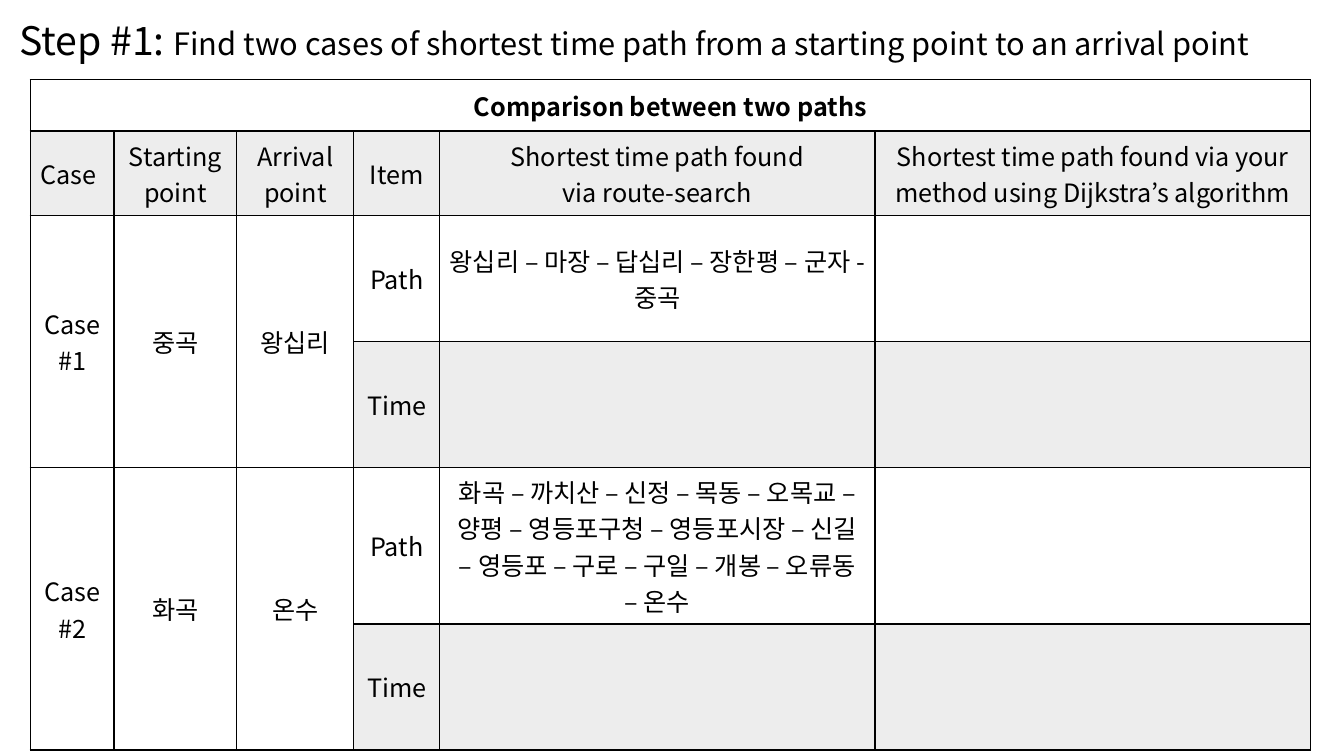
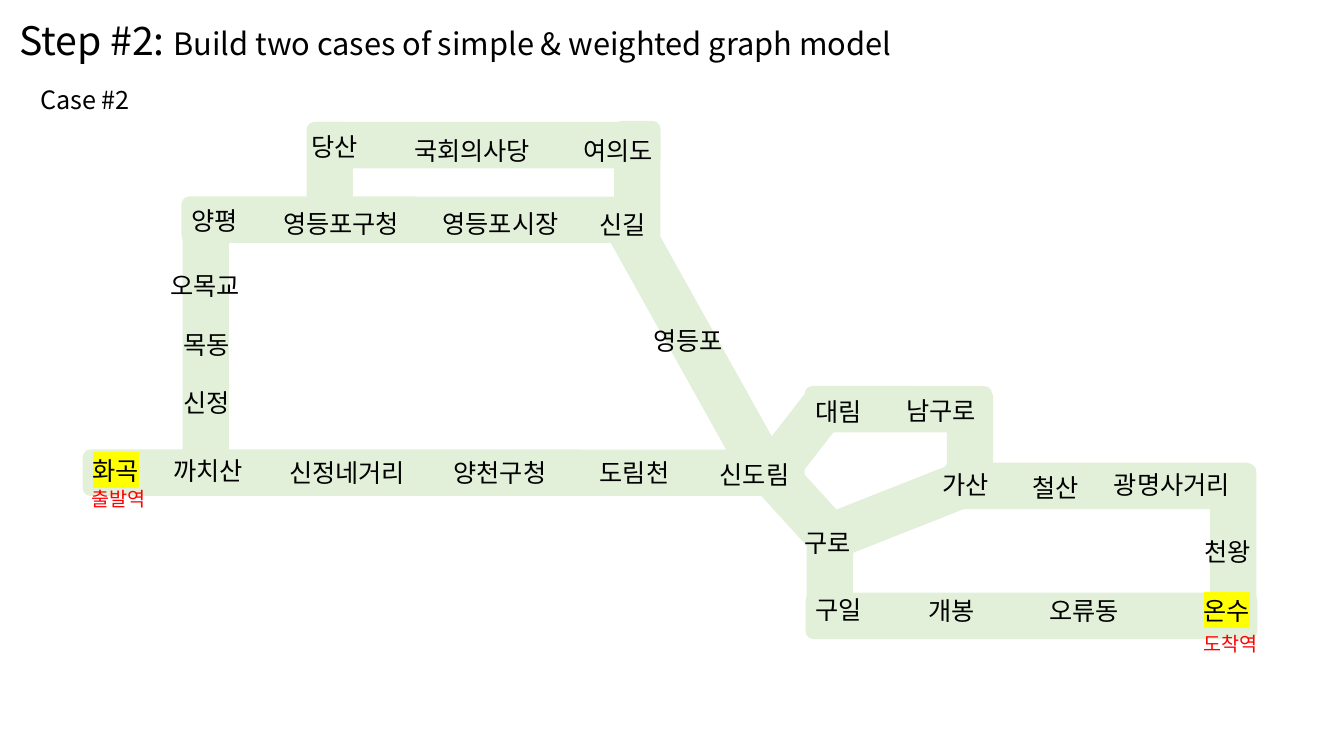
"""Build two slides: a shortest-path comparison table and a subway graph."""
import math
from collections import namedtuple

from lxml import etree
from pptx import Presentation
from pptx import util as u
from pptx.dml.color import RGBColor
from pptx.enum import shapes, text
from pptx.oxml.ns import qn

Box = namedtuple("Box", "x y w h")

FONT = "Noto Sans CJK KR"
BLACK = RGBColor(0x00, 0x00, 0x00)
RED = RGBColor(0xFF, 0x00, 0x00)
SHADE = RGBColor(0xED, 0xED, 0xED)
TRACK = RGBColor(0xE2, 0xF0, 0xD9)
MARKER = "FFFF00"

SLIDE = Box(0, 0, 13.33, 7.5)
TITLE = Box(0.09, 0.04, 12.93, 0.76)
TABLE = Box(0.3, 0.79, 12.7, 6.65)
CASE = Box(0.3, 0.63, 1.24, 0.76)
MAP = Box(0.8, 1.2, 11.7, 5.2)

COLUMN_WIDTHS = (0.83, 1.22, 1.16, 0.85, 4.32, 4.32)
ROW_HEIGHTS = (0.51, 0.84, 1.25, 1.25, 1.55, 1.25)
HEADINGS = (
    "Case", "Starting point", "Arrival point", "Item",
    "Shortest time path found\nvia route-search",
    "Shortest time path found via your method using Dijkstra’s algorithm",
)
CASES = (
    ("Case #1", "중곡", "왕십리", "왕십리 – 마장 – 답십리 – 장한평 – 군자 - 중곡"),
    ("Case #2", "화곡", "온수",
     "화곡 – 까치산 – 신정 – 목동 – 오목교 – 양평 – 영등포구청 – 영등포시장 – 신길"
     " – 영등포 – 구로 – 구일 – 개봉 – 오류동 – 온수"),
)

MAP_COLUMNS, MAP_ROWS = 117, 52
TRACK_ROWS = 4.6
TRACKS = (
    (24.7, 0.1, 24.7, 9.3), (54.2, 10.3, 67.7, 34.5),
    (55.2, 0, 55.2, 12), (12.4, 7.8, 12.4, 35.6),
    (22.6, 2.4, 57.5, 2.4), (10, 9.8, 57.4, 9.8),
    (90.2, 35, 74, 41.4), (74.3, 40.1, 74.3, 51.3),
    (68.6, 35, 74.8, 41.8), (74, 28, 68.4, 35.2),
    (88.2, 26.6, 88.2, 38.2), (71.8, 28.6, 90.4, 28.6),
    (114.3, 34, 114.3, 51.4), (85.6, 36.2, 116.4, 36.2),
    (71.9, 49.1, 116.7, 49.1), (0.2, 34.9, 71.8, 34.9),
)
STATIONS = (
    ("화곡", 0.2, 34.9), ("온수", 110.4, 48.8), ("까치산", 8.2, 34.9),
    ("신정네거리", 19.7, 35.1), ("양천구청", 36, 35.1), ("도림천", 50.5, 35.1),
    ("신도림", 62.4, 35.3), ("대림", 71.9, 29), ("남구로", 80.9, 28.9),
    ("구로", 70.8, 42), ("구일", 71.9, 48.7), ("개봉", 83.1, 48.8),
    ("오류동", 95.1, 48.8), ("가산", 84.5, 36.3), ("철산", 93.4, 36.5),
    ("광명사거리", 101.5, 36.3), ("천왕", 110.5, 42.9), ("신정", 9.2, 28.1),
    ("목동", 9.2, 22.4), ("오목교", 7.9, 16.5), ("양평", 10, 10.1),
    ("영등포구청", 19.1, 10.4), ("영등포시장", 34.9, 10.4), ("신길", 50.5, 10.5),
    ("영등포", 55.8, 22), ("당산", 21.9, 2.7), ("국회의사당", 32.1, 3.1),
    ("여의도", 48.9, 3.1),
)
TERMINALS = ("화곡", "온수")
ROLES = (("출발역", 0.1, 37.6), ("도착역", 110.4, 52))


def inches(box):
    """Return the four lengths of a box in slide units."""
    return [u.Inches(length) for length in box]


def style_run(run, size, color=BLACK, bold=False):
    """Format a run, giving Korean text the same typeface."""
    run.font.size, run.font.bold, run.font.name = u.Pt(size), bold, FONT
    run.font.color.rgb = color
    latin = run.font._element.find(qn("a:latin"))
    east_asian = etree.Element(qn("a:ea"), typeface=FONT)
    latin.addnext(east_asian)


def highlight(run):
    """Put a marker colour behind a run."""
    marker = etree.Element(qn("a:highlight"))
    etree.SubElement(marker, qn("a:srgbClr"), val=MARKER)
    run.font._element.find(qn("a:solidFill")).addnext(marker)


def add_titled_slide(deck, step, heading):
    """Add a slide whose title has a large step and a smaller heading."""
    slide = deck.slides.add_slide(deck.slide_layouts[5])
    title = slide.shapes.title
    title.left, title.top, title.width, title.height = inches(TITLE)
    frame = title.text_frame
    frame.auto_size = text.MSO_AUTO_SIZE.NONE
    frame.vertical_anchor = text.MSO_ANCHOR.MIDDLE
    line = frame.paragraphs[0]
    line.alignment, line.line_spacing = text.PP_ALIGN.LEFT, 0.9
    for words, size in ((step + " ", 28), (heading, 22)):
        run = line.add_run()
        run.text = words
        style_run(run, size)
    return slide


def add_label(parent, box, words, size=18, color=BLACK):
    """Add a one-line label centred vertically in its box."""
    frame = parent.add_textbox(*inches(box)).text_frame
    frame.word_wrap = True
    frame.vertical_anchor = text.MSO_ANCHOR.MIDDLE
    frame.text = words
    line = frame.paragraphs[0]
    line.line_spacing = 0.9
    style_run(line.runs[0], size, color)
    return line.runs[0]


def style_cell(cell, shaded):
    """Give a cell thin black borders and an optional shade."""
    properties = cell._tc.get_or_add_tcPr()
    for side in ("a:lnL", "a:lnR", "a:lnT", "a:lnB"):
        border = etree.SubElement(properties, qn(side), w=str(u.Pt(1)))
        ink = etree.SubElement(border, qn("a:solidFill"))
        etree.SubElement(ink, qn("a:srgbClr"), val=str(BLACK))
    if shaded:
        cell.fill.solid()
        cell.fill.fore_color.rgb = SHADE
    else:
        cell.fill.background()
    cell.vertical_anchor = text.MSO_ANCHOR.MIDDLE


def fill_cell(cell, words, bold=False):
    """Write centred text into a cell."""
    cell.text = words
    for line in cell.text_frame.paragraphs:
        line.alignment = text.PP_ALIGN.CENTER
        for run in line.runs:
            style_run(run, 18, bold=bold)


def add_comparison(slide, box):
    """Add the table that compares both paths of each case."""
    table = slide.shapes.add_table(
        len(ROW_HEIGHTS), len(COLUMN_WIDTHS), *inches(box)).table
    table.first_row = table.horz_banding = False
    for column, width in zip(table.columns, COLUMN_WIDTHS):
        column.width = u.Inches(box.w * width / sum(COLUMN_WIDTHS))
    for row, height in zip(table.rows, ROW_HEIGHTS):
        row.height = u.Inches(box.h * height / sum(ROW_HEIGHTS))
    for r in range(len(ROW_HEIGHTS)):
        for c in range(len(COLUMN_WIDTHS)):
            style_cell(table.cell(r, c), r == 1 or (r in (3, 5) and c > 2))

    table.cell(0, 0).merge(table.cell(0, 5))
    fill_cell(table.cell(0, 0), "Comparison between two paths", bold=True)
    for c, heading in enumerate(HEADINGS):
        fill_cell(table.cell(1, c), heading)
    table.cell(1, 0).text_frame.paragraphs[0].alignment = text.PP_ALIGN.LEFT

    for top, (*trip, stops) in zip((2, 4), CASES):
        for c, words in enumerate(trip):
            table.cell(top, c).merge(table.cell(top + 1, c))
            fill_cell(table.cell(top, c), words)
        fill_cell(table.cell(top, 3), "Path")
        fill_cell(table.cell(top, 4), stops)
        fill_cell(table.cell(top + 1, 3), "Time")


def add_track(parent, start, end, thickness):
    """Add a rounded bar that runs from start to end."""
    dx, dy = end[0] - start[0], end[1] - start[1]
    length = math.hypot(dx, dy)
    box = Box((start[0] + end[0] - length) / 2,
              (start[1] + end[1] - thickness) / 2, length, thickness)
    bar = parent.add_shape(shapes.MSO_SHAPE.ROUNDED_RECTANGLE, *inches(box))
    bar.rotation = math.degrees(math.atan2(dy, dx))
    bar.shadow.inherit = False
    bar.fill.solid()
    bar.fill.fore_color.rgb = TRACK
    bar.line.fill.background()


def add_subway_map(slide, box):
    """Add the tracks, stations and terminal roles on the map's grid."""
    column, row = box.w / MAP_COLUMNS, box.h / MAP_ROWS

    def at(x, y):
        """Return the place of a grid point on the slide."""
        return box.x + x * column, box.y + y * row

    def label_box(words, x, y):
        """Return a label's box, from its left edge and middle."""
        left, middle = at(x, y)
        width = (20 if len(words) > 4 else 12.4) * column
        height = 7.6 * row
        return Box(left, middle - height / 2, width, height)

    network = slide.shapes.add_group_shape().shapes
    for x1, y1, x2, y2 in TRACKS:
        add_track(network, at(x1, y1), at(x2, y2), TRACK_ROWS * row)
    for station in STATIONS:
        run = add_label(network, label_box(*station), station[0])
        if station[0] in TERMINALS:
            highlight(run)
    for role in ROLES:
        add_label(slide.shapes, label_box(*role), role[0], 14, RED)


def main():
    """Build and save the presentation."""
    deck = Presentation()
    deck.slide_width, deck.slide_height = u.Inches(SLIDE.w), u.Inches(SLIDE.h)

    comparison = add_titled_slide(
        deck, "Step #1:",
        "Find two cases of shortest time path from a starting point to an arrival point")
    add_comparison(comparison, TABLE)

    graph = add_titled_slide(
        deck, "Step #2:", "Build two cases of simple & weighted graph model")
    add_label(graph.shapes, CASE, "Case #2")
    add_subway_map(graph, MAP)

    deck.save("out.pptx")


if __name__ == "__main__":
    main()
